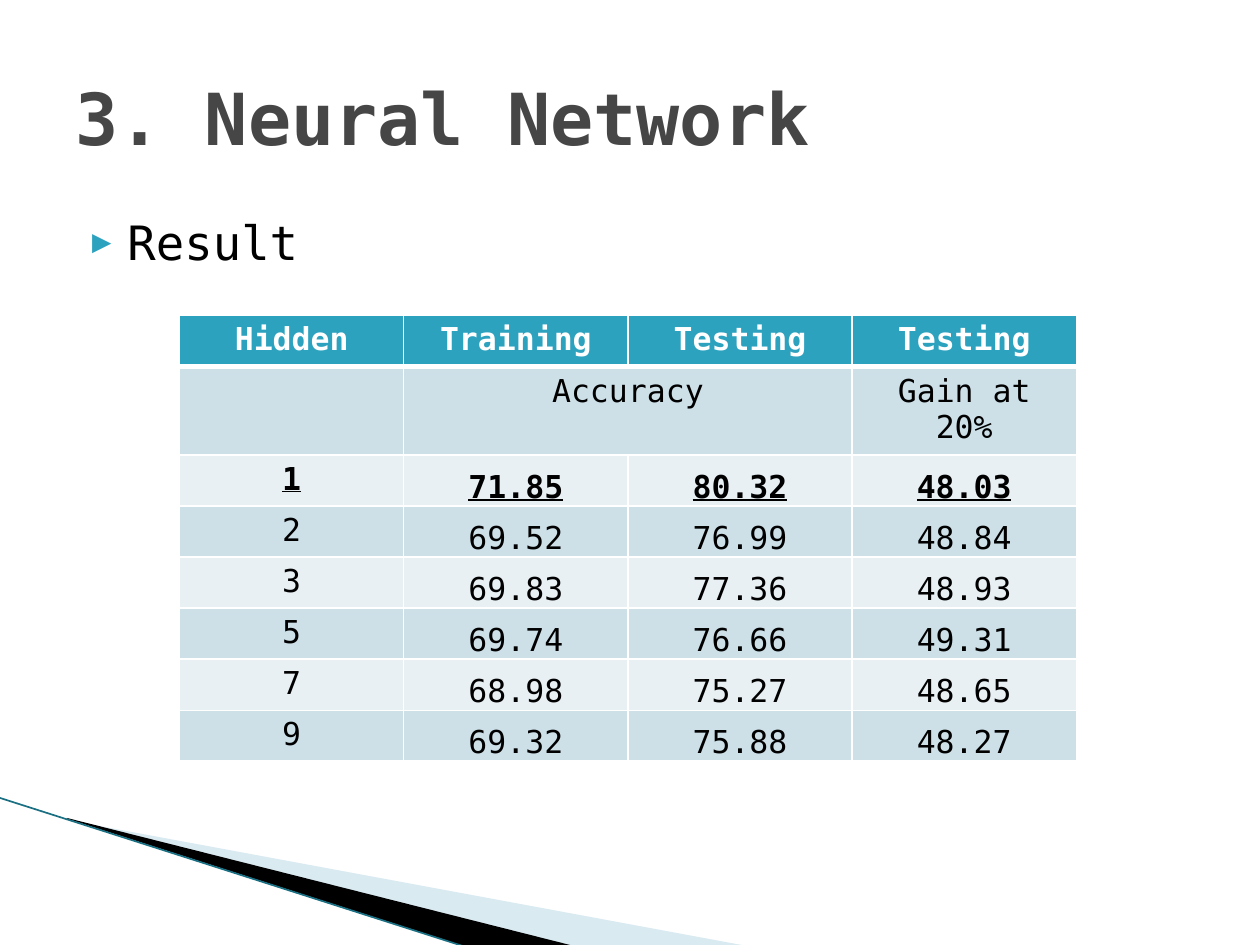
from lxml import etree
from pptx import Presentation
from pptx import util as u
from pptx.dml.color import RGBColor
from pptx.enum import shapes, text
from pptx.oxml import ns

FONT = "DejaVu Sans Mono"
TEAL = RGBColor(0x2D, 0xA2, 0xBF)
DARK_TEAL = RGBColor(0x1A, 0x6F, 0x82)
PALE_TEAL = RGBColor(0xA0, 0xCB, 0xDC)
BAND_DARK = RGBColor(0xCD, 0xE0, 0xE8)
BAND_LIGHT = RGBColor(0xE8, 0xF0, 0xF4)
GREY = RGBColor(0x46, 0x46, 0x46)
BLACK = RGBColor(0, 0, 0)
WHITE = RGBColor(255, 255, 255)

ROWS = [
    ("Hidden", "Training", "Testing", "Testing"),
    ("", "Accuracy", "", "Gain at 20%"),
    ("1", "71.85", "80.32", "48.03"),
    ("2", "69.52", "76.99", "48.84"),
    ("3", "69.83", "77.36", "48.93"),
    ("5", "69.74", "76.66", "49.31"),
    ("7", "68.98", "75.27", "48.65"),
    ("9", "69.32", "75.88", "48.27"),
]
BEST_ROW = 2


def sub(parent, tag, **attrs):
    """Append a DrawingML child element and return it."""
    return etree.SubElement(parent, ns.qn(tag), attrs)


def style(p, size, color, bold=False, underline=False):
    """Format every run of a paragraph."""
    for r in p.runs:
        f = r.font
        f.name, f.size, f.bold = FONT, u.Pt(size), bold
        f.underline = underline
        f.color.rgb = color


def add_text(s, box, value, size, color, bold=False):
    """Place one line of text in a box and return its frame."""
    tf = s.shapes.add_textbox(*map(u.Cm, box)).text_frame
    tf.word_wrap = True
    tf.text = value
    style(tf.paragraphs[0], size, color, bold)
    return tf


def add_title(s, box, value):
    """Place the slide title, centred vertically in its box."""
    tf = add_text(s, box, value, 41, GREY, bold=True)
    tf.vertical_anchor = text.MSO_ANCHOR.MIDDLE


def add_body(s, box, value):
    """Place a body line with a triangular bullet."""
    p = add_text(s, box, value, 27, BLACK).paragraphs[0]
    p.space_before = u.Pt(4)
    pPr = p._p.get_or_add_pPr()
    pPr.set("marL", str(u.Cm(1.02)))
    pPr.set("indent", str(u.Cm(-0.71)))
    sub(sub(pPr, "a:buClr"), "a:srgbClr", val=str(TEAL))
    sub(pPr, "a:buSzPct", val="68000")
    sub(pPr, "a:buFont", typeface=FONT)
    sub(pPr, "a:buChar", char="\u25b6")


def set_borders(cell, bottom, top):
    """Give a cell white borders, with its own top and bottom widths."""
    tcPr = cell._tc.get_or_add_tcPr()
    widths = {"a:lnL": 1, "a:lnR": 1, "a:lnT": top, "a:lnB": bottom}
    for i, (tag, width) in enumerate(widths.items()):
        ln = etree.Element(ns.qn(tag), w=str(u.Pt(width)))
        sub(sub(ln, "a:solidFill"), "a:srgbClr", val=str(WHITE))
        tcPr.insert(i, ln)


def add_results(s, box):
    """Build the result table in its box."""
    frame = s.shapes.add_table(len(ROWS), len(ROWS[0]), *map(u.Cm, box))
    table = frame.table
    for i, values in enumerate(ROWS):
        header, best = i == 0, i == BEST_ROW
        table.rows[i].height = u.Cm(1.03)
        band = BAND_DARK if i % 2 else BAND_LIGHT
        for j, value in enumerate(values):
            cell = table.cell(i, j)
            cell.text = value
            cell.fill.solid()
            cell.fill.fore_color.rgb = TEAL if header else band
            p = cell.text_frame.paragraphs[0]
            p.alignment = text.PP_ALIGN.CENTER
            style(p, 18, WHITE if header else BLACK, header or best, best)
            if i >= BEST_ROW and j:
                cell.vertical_anchor = text.MSO_ANCHOR.BOTTOM
                cell.margin_left = cell.margin_right = u.Cm(0.02)
                cell.margin_top, cell.margin_bottom = u.Cm(0.02), 0
            set_borders(cell, bottom=3 if header else 1, top=3 if i == 1 else 1)
    table.rows[len(ROWS) - 1].height = u.Cm(0.98)
    table.cell(1, 1).merge(table.cell(1, 2))


def add_swoosh(s, left, top):
    """Draw the two wedges and the edge line in the bottom corner."""
    def at(x, y):
        return u.Cm(left + x), u.Cm(top + y)

    wedges = [
        (PALE_TEAL, 40, [(1.4, 0.46), (15.11, 3), (11.58, 3), (1.4, 0.43)]),
        (BLACK, 100, [(1.35, 0.41), (11.61, 3), (9.45, 3.02), (1.37, 0.43)]),
    ]
    for color, opacity, points in wedges:
        start, *rest = [at(*point) for point in points]
        builder = s.shapes.build_freeform(*start)
        builder.add_line_segments(rest)
        sp = builder.convert_to_shape()
        sp.shadow.inherit = False
        sp.line.fill.background()
        sp.fill.solid()
        sp.fill.fore_color.rgb = color
        if opacity < 100:
            clr = sp.fill._xPr.find(".//" + ns.qn("a:srgbClr"))
            sub(clr, "a:alpha", val=str(opacity * 1000))
    edge = s.shapes.add_connector(
        shapes.MSO_CONNECTOR.STRAIGHT, *at(-0.02, 0), *at(9.42, 3.02))
    edge.line.color.rgb = DARK_TEAL
    edge.line.width = u.Pt(0.95)
    sub(edge._element.spPr, "a:effectLst")


def build_slide(prs):
    """Compose the result slide on the blank layout."""
    s = prs.slides.add_slide(prs.slide_layouts[6])
    add_swoosh(s, 0, 16.08)
    add_body(s, (1.3, 4.17, 22.86, 12.57), "Result")
    add_title(s, (1.27, 0.76, 22.86, 3.18), "3. Neural Network")
    add_results(s, (3.62, 6.36, 18.08, 8.23))


prs = Presentation()
prs.slide_width, prs.slide_height = u.Cm(25.4), u.Cm(19.05)
build_slide(prs)
prs.save("out.pptx")
